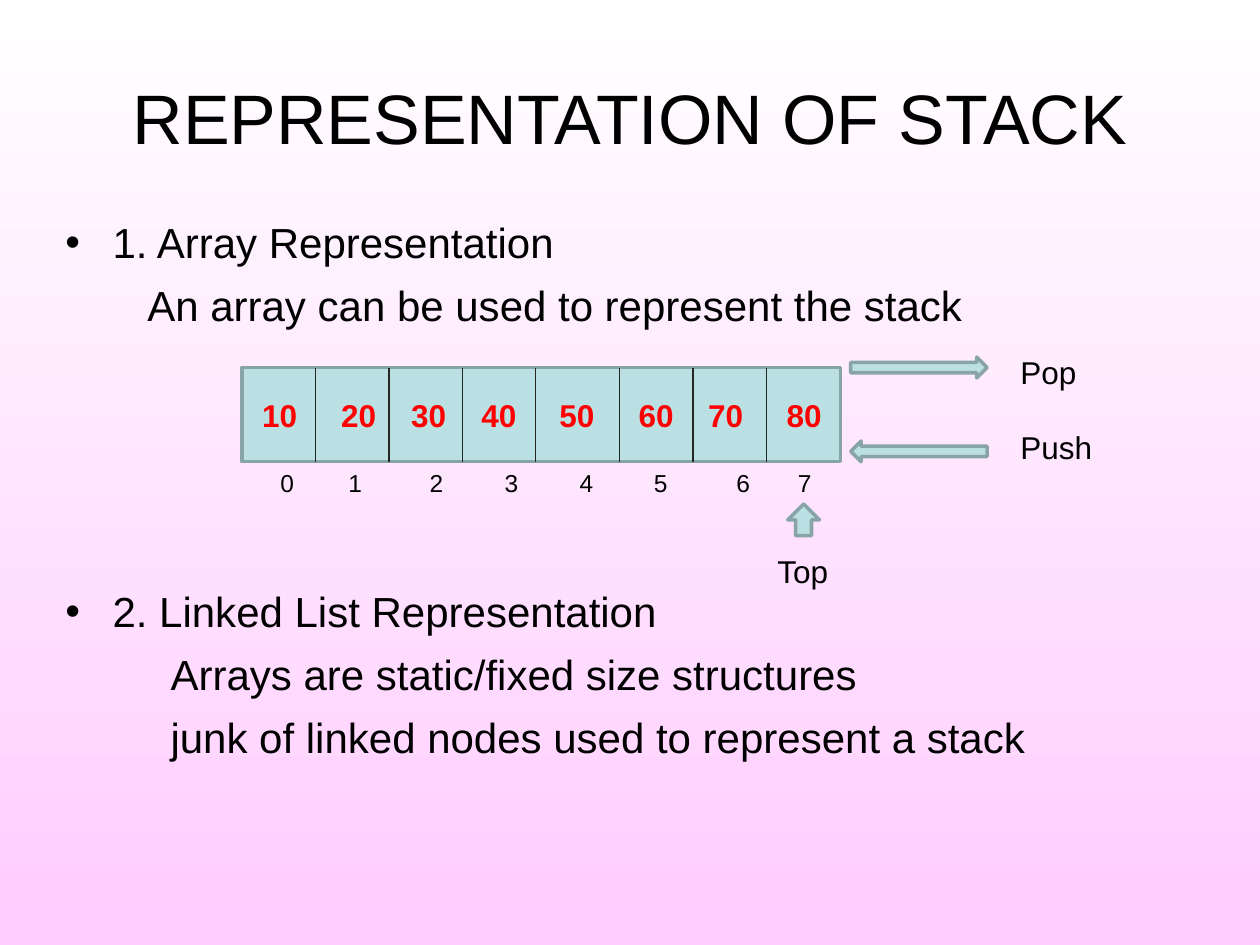
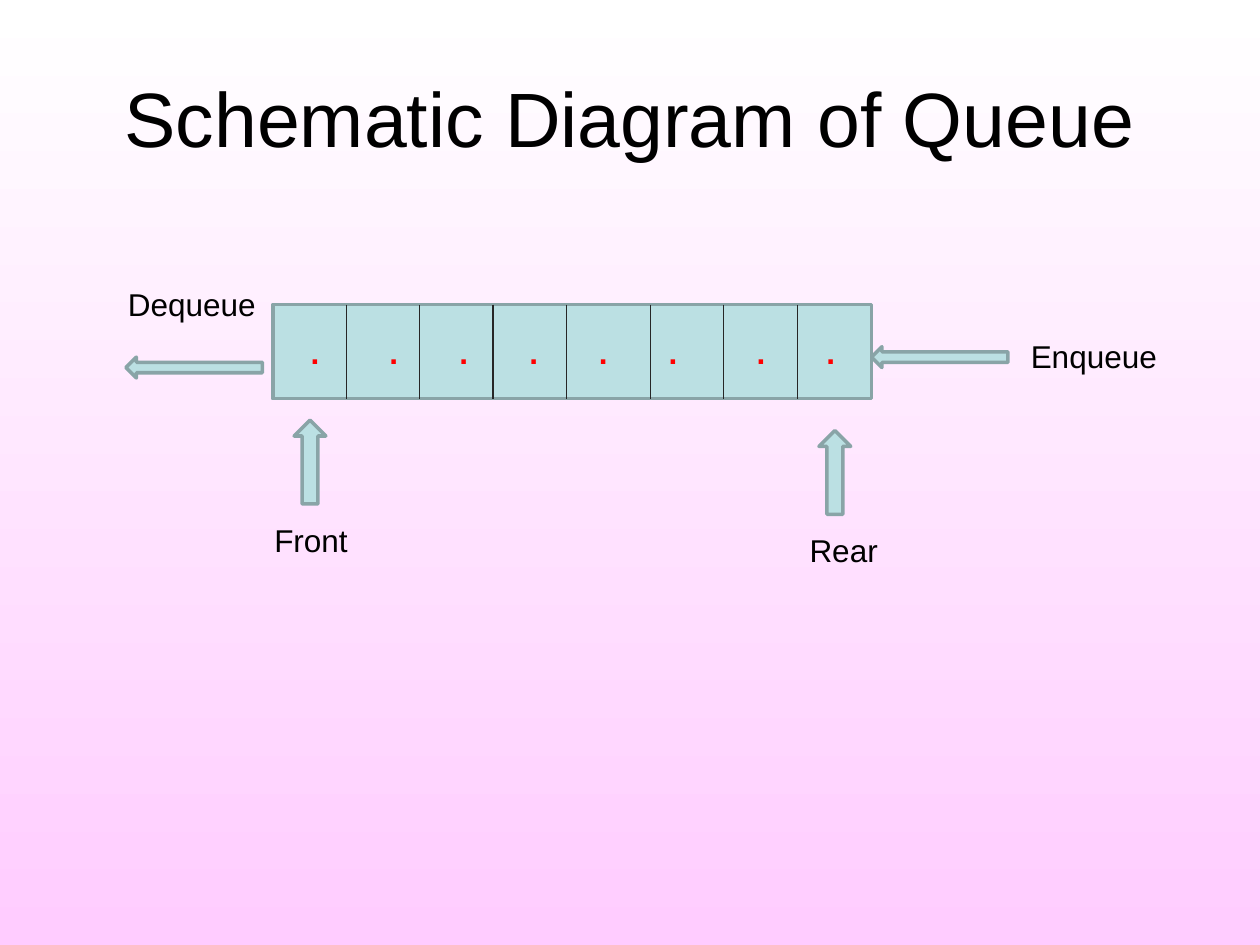
from lxml.etree import SubElement
from pptx import Presentation
from pptx.dml.color import RGBColor
from pptx.enum.shapes import MSO_CONNECTOR, MSO_SHAPE
from pptx.enum.text import MSO_ANCHOR, PP_ALIGN
from pptx.oxml.ns import qn
from pptx.util import Cm, Pt

COLOURS = {
    "sky": "FFFFFF",
    "pink": "FFCCFF",
    "text": "000000",
    "value": "FF0000",
    "fill": "BBE0E3",
    "edge": "89A4A7",
    "divider": "262626",
}
FONT = "Arial"
BAR_WIDTH, BAR_HEIGHT = 12.07, 1.9
CELL_COUNT, CELL_WIDTH, WIDE_CELL, EXTRA_WIDTH = 8, 1.48, 5, 0.21


def colour(name):
    """Return a named colour."""
    return RGBColor.from_string(COLOURS[name])


def add_span(para, text, size, name="text", bold=False):
    """Add one styled run to a paragraph."""
    span = para.add_run()
    span.text = text
    span.font.name = FONT
    span.font.size = Pt(size)
    span.font.bold = bold
    span.font.color.rgb = colour(name)


def add_box(page, left, top, width, height):
    """Add an empty wrapping text box and return its frame."""
    box = page.shapes.add_textbox(Cm(left), Cm(top), Cm(width), Cm(height))
    box.text_frame.word_wrap = True
    return box.text_frame


def add_label(page, text, left, top, width=3.2):
    """Add a one-line caption."""
    frame = add_box(page, left, top, width, 1.02)
    add_span(frame.paragraphs[0], text, 18)


def add_page(deck, title, size):
    """Add a page with the gradient background and a centred title."""
    page = deck.slides.add_slide(deck.slide_layouts[6])
    fill = page.background.fill
    fill.gradient()
    fill.gradient_angle = 270
    for stop, name, position in zip(fill.gradient_stops, ("sky", "pink"), (0, 1)):
        stop.color.rgb = colour(name)
        stop.position = position
    frame = add_box(page, 1.27, 0.76, 22.86, 3.18)
    frame.vertical_anchor = MSO_ANCHOR.MIDDLE
    para = frame.paragraphs[0]
    para.alignment = PP_ALIGN.CENTER
    add_span(para, title, size)
    return page


def add_figure(page, kind, left, top, width, height):
    """Add a preset shape in the diagram style."""
    figure = page.shapes.add_shape(kind, Cm(left), Cm(top), Cm(width), Cm(height))
    figure.shadow.inherit = False
    figure.fill.solid()
    figure.fill.fore_color.rgb = colour("fill")
    figure.line.color.rgb = colour("edge")
    figure.line.width = Pt(2)
    return figure


def add_side_arrow(page, kind, left, top):
    """Add a horizontal arrow beside a bar."""
    add_figure(page, kind, left, top, 2.75, 0.42)


def add_tabbed(para, values, centres, size, name="text", bold=False):
    """Centre each value on its own tab stop."""
    para.alignment = PP_ALIGN.LEFT
    stops = SubElement(para._p.get_or_add_pPr(), qn("a:tabLst"))
    for centre in centres:
        SubElement(stops, qn("a:tab"), pos=str(Cm(centre)), algn="ctr")
    for value in values:
        add_span(para, "\t" + value, size, name, bold)


def add_divider(page, x, top):
    """Add a vertical cell border."""
    line = page.shapes.add_connector(
        MSO_CONNECTOR.STRAIGHT, Cm(x), Cm(top), Cm(x), Cm(top + BAR_HEIGHT))
    line.line.color.rgb = colour("divider")
    line.line.width = Pt(0.75)
    SubElement(line._element.spPr, qn("a:effectLst"))


def add_bar(page, left, top, values, centres):
    """Add a bar of cells with its values and dividers."""
    bar = add_figure(page, MSO_SHAPE.RECTANGLE, left, top, BAR_WIDTH, BAR_HEIGHT)
    frame = bar.text_frame
    frame.vertical_anchor = MSO_ANCHOR.MIDDLE
    add_tabbed(frame.paragraphs[0], values, centres, 18, "value", True)
    for cell in range(1, CELL_COUNT):
        extra = EXTRA_WIDTH if cell >= WIDE_CELL else 0
        add_divider(page, left + cell * CELL_WIDTH + extra, top)


def add_outline(page, items):
    """Add the body text from (text, indent, space before, bullet) items."""
    frame = add_box(page, 1.07, 4.24, 22.86, 12.7)
    for number, (text, indent, before, bullet) in enumerate(items):
        para = frame.add_paragraph() if number else frame.paragraphs[0]
        properties = para._p.get_or_add_pPr()
        properties.set("marL", str(Cm(indent)))
        if bullet:
            properties.set("indent", str(-Cm(indent)))
            SubElement(properties, qn("a:buFont"), typeface=FONT)
            SubElement(properties, qn("a:buChar"), char="•")
        para.space_before = Pt(before)
        add_span(para, text, 24)


def add_stack_page(deck):
    """Build the stack page."""
    page = add_page(deck, "REPRESENTATION OF STACK", 40)
    add_outline(page, [
        ("1. Array Representation", 0.95, 0, True),
        ("An array can be used to represent the stack", 1.65, 7.2, False),
        ("2. Linked List Representation", 0.95, 146, True),
        ("Arrays are static/fixed size structures", 2.12, 7.2, False),
        ("junk of linked nodes used to represent a stack", 2.12, 7.2, False),
    ])
    left, top = 4.88, 7.41
    values = [str(10 * (cell + 1)) for cell in range(CELL_COUNT)]
    add_bar(page, left, top, values, (0.51, 2.1, 3.51, 4.93, 6.5, 8.1, 9.5, 11.08))
    indexes = add_box(page, left, top + BAR_HEIGHT, BAR_WIDTH, 1.02)
    add_tabbed(indexes.paragraphs[0], [str(cell) for cell in range(CELL_COUNT)],
               (0.66, 2.03, 3.67, 5.18, 6.69, 8.19, 9.85, 11.09), 14)
    add_side_arrow(page, MSO_SHAPE.RIGHT_ARROW, 17.15, 7.2)
    add_side_arrow(page, MSO_SHAPE.LEFT_ARROW, 17.15, 8.89)
    add_label(page, "Pop", 20.32, 6.99)
    add_label(page, "Push", 20.32, 8.5)
    add_figure(page, MSO_SHAPE.UP_ARROW, 15.88, 10.16, 0.64, 0.64)
    add_label(page, "Top", 15.42, 11)


def add_queue_page(deck):
    """Build the queue page."""
    page = add_page(deck, "Schematic Diagram of Queue", 44)
    add_bar(page, 5.5, 6.14, ["."] * CELL_COUNT,
            (0.6, 2.19, 3.6, 5.01, 6.41, 7.82, 9.59, 11))
    add_side_arrow(page, MSO_SHAPE.LEFT_ARROW, 17.57, 6.99)
    add_side_arrow(page, MSO_SHAPE.LEFT_ARROW, 2.54, 7.2)
    add_label(page, "Enqueue", 20.53, 6.67, 4)
    add_label(page, "Dequeue", 2.33, 5.63, 3.4)
    for text, arrow_left, arrow_top, text_left in (
            ("Front", 5.93, 8.47, 5.28), ("Rear", 16.51, 8.68, 16.07)):
        add_figure(page, MSO_SHAPE.UP_ARROW, arrow_left, arrow_top, 0.64, 1.69)
        add_label(page, text, text_left, arrow_top + 1.9)


def main():
    """Build and save the deck."""
    deck = Presentation()
    deck.slide_width, deck.slide_height = Cm(25.4), Cm(19.05)
    add_stack_page(deck)
    add_queue_page(deck)
    deck.save("out.pptx")


if __name__ == "__main__":
    main()
